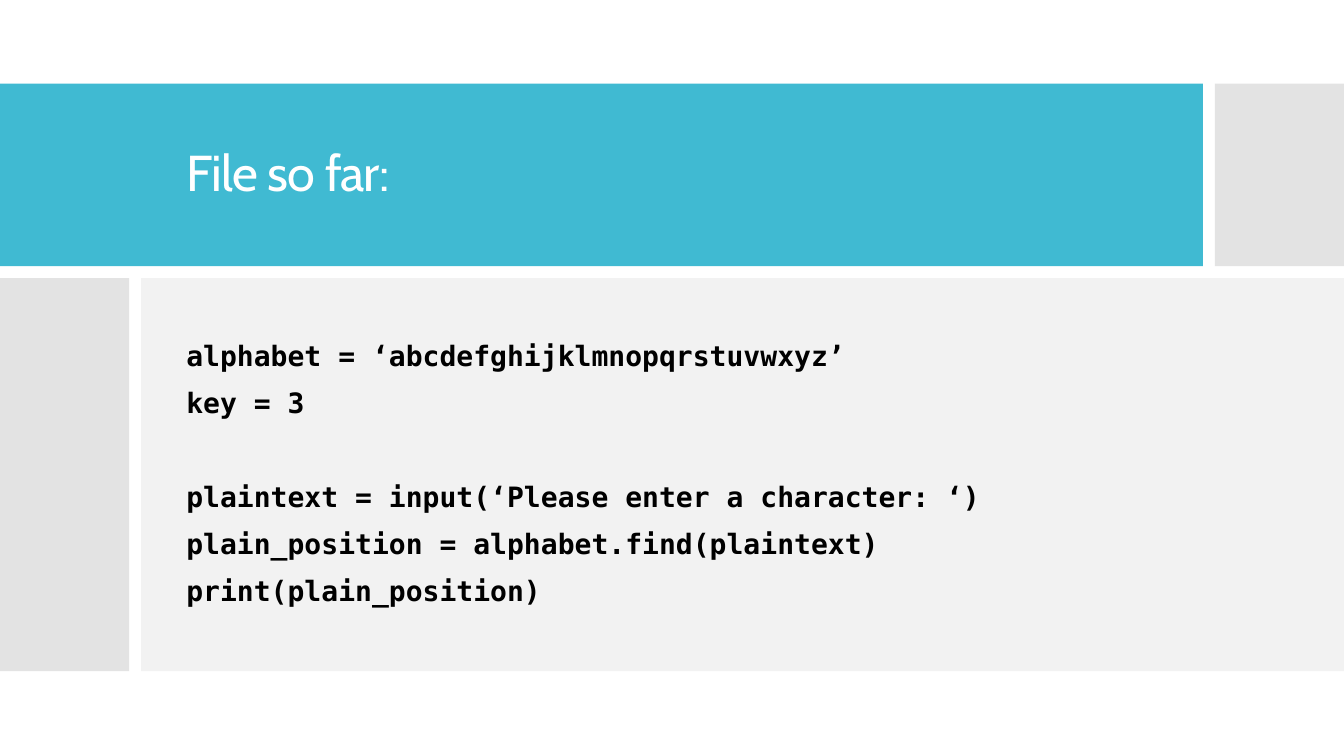
from lxml import etree
from pptx import Presentation
from pptx.dml.color import RGBColor
from pptx.enum.shapes import MSO_SHAPE
from pptx.enum.text import MSO_ANCHOR
from pptx.oxml.ns import qn
from pptx.util import Pt

RECTANGLE = MSO_SHAPE.RECTANGLE
MIDDLE = MSO_ANCHOR.MIDDLE

SLIDE_WIDTH, SLIDE_HEIGHT = 960, 540
TOP, BOTTOM = 59.8, 479.5
TITLE_HEIGHT = 130.3
SIDE_WIDTH = 92.2
GAP = 8.6
TEXT_LEFT, TEXT_WIDTH = 126, 707

LINE_SPACE = 12
BLOCK_SPACE = 45.7
CODE_BLOCKS = [
    ["alphabet = ‘abcdefghijklmnopqrstuvwxyz’", "key = 3"],
    [
        "plaintext = input(‘Please enter a character: ‘)",
        "plain_position = alphabet.find(plaintext)",
        "print(plain_position)",
    ],
]


def color(hex_value):
    return RGBColor.from_string(hex_value)


class CodeSlide:
    TEAL, GRAY, PALE = "40BAD2", "C8C8C8", "F2F2F2"
    WHITE, BLACK = "FFFFFF", "000000"
    TITLE_FONT, CODE_FONT = "Cabin", "DejaVu Sans Mono"

    def __init__(self, presentation):
        self.slide = presentation.slides.add_slide(presentation.slide_layouts[6])

    def panel(self, left, top, width, height, fill, opacity=100):
        panel = self.slide.shapes.add_shape(
            RECTANGLE, Pt(left), Pt(top), Pt(width), Pt(height))
        panel.shadow.inherit = False
        panel.line.fill.background()
        panel.fill.solid()
        panel.fill.fore_color.rgb = color(fill)
        if opacity < 100:
            fill_color = panel.fill._xPr.find(f"{qn('a:solidFill')}/{qn('a:srgbClr')}")
            etree.SubElement(fill_color, qn("a:alpha"), val=str(opacity * 1000))

    def text_frame(self, top, height):
        box = self.slide.shapes.add_textbox(
            Pt(TEXT_LEFT), Pt(top), Pt(TEXT_WIDTH), Pt(height))
        frame = box.text_frame
        frame.word_wrap = True
        frame.vertical_anchor = MIDDLE
        return frame

    def line(self, paragraph, text, font, size, fill, bold=False, before=0):
        paragraph.line_spacing = 0.9
        paragraph.space_before = Pt(before)
        run = paragraph.add_run()
        run.text = text
        run.font.name = font
        run.font.size = Pt(size)
        run.font.bold = bold
        run.font.color.rgb = color(fill)
        return run

    def title(self, text, top, height):
        paragraph = self.text_frame(top, height).paragraphs[0]
        heading = self.line(paragraph, text, self.TITLE_FONT, 36, self.WHITE)
        heading.font._element.set("spc", "-60")

    def code(self, blocks, top, height):
        """Write code lines, with a wider space between blocks."""
        frame = self.text_frame(top, height)
        paragraph = frame.paragraphs[0]
        for block_index, block in enumerate(blocks):
            for line_index, text in enumerate(block):
                if block_index or line_index:
                    paragraph = frame.add_paragraph()
                starts_block = block_index > 0 and line_index == 0
                before = BLOCK_SPACE if starts_block else LINE_SPACE
                self.line(paragraph, text, self.CODE_FONT, 20, self.BLACK,
                          bold=True, before=before)


def main():
    presentation = Presentation()
    presentation.slide_width = Pt(SLIDE_WIDTH)
    presentation.slide_height = Pt(SLIDE_HEIGHT)
    page = CodeSlide(presentation)

    side_left = SLIDE_WIDTH - SIDE_WIDTH
    body_top = TOP + TITLE_HEIGHT + GAP
    body_height = BOTTOM - body_top
    body_left = SIDE_WIDTH + GAP

    page.panel(0, TOP, side_left - GAP, TITLE_HEIGHT, page.TEAL)
    page.title("File so far:", TOP, TITLE_HEIGHT)
    page.panel(side_left, TOP, SIDE_WIDTH, TITLE_HEIGHT, page.GRAY, opacity=50)
    page.panel(0, body_top, SIDE_WIDTH, body_height, page.GRAY, opacity=50)
    page.panel(body_left, body_top, SLIDE_WIDTH - body_left, body_height, page.PALE)
    page.code(CODE_BLOCKS, body_top, body_height)

    presentation.save("out.pptx")


if __name__ == "__main__":
    main()
